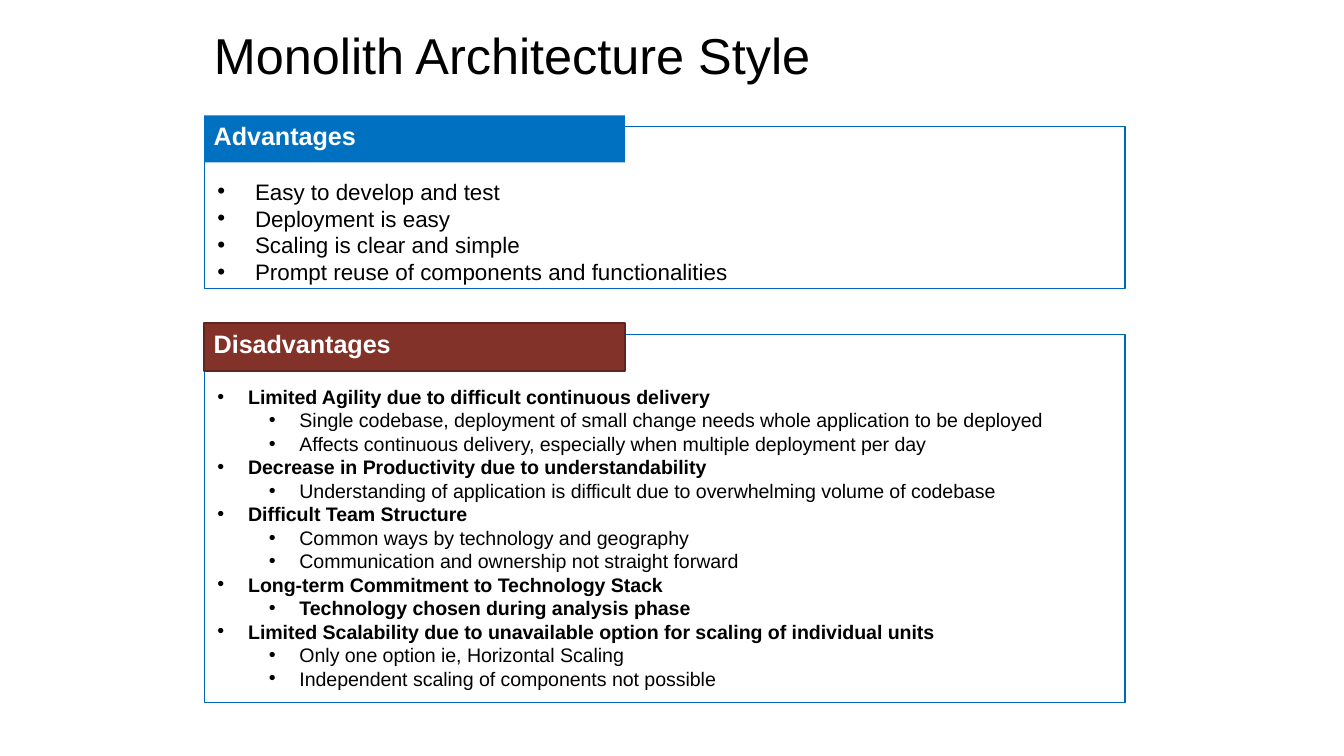
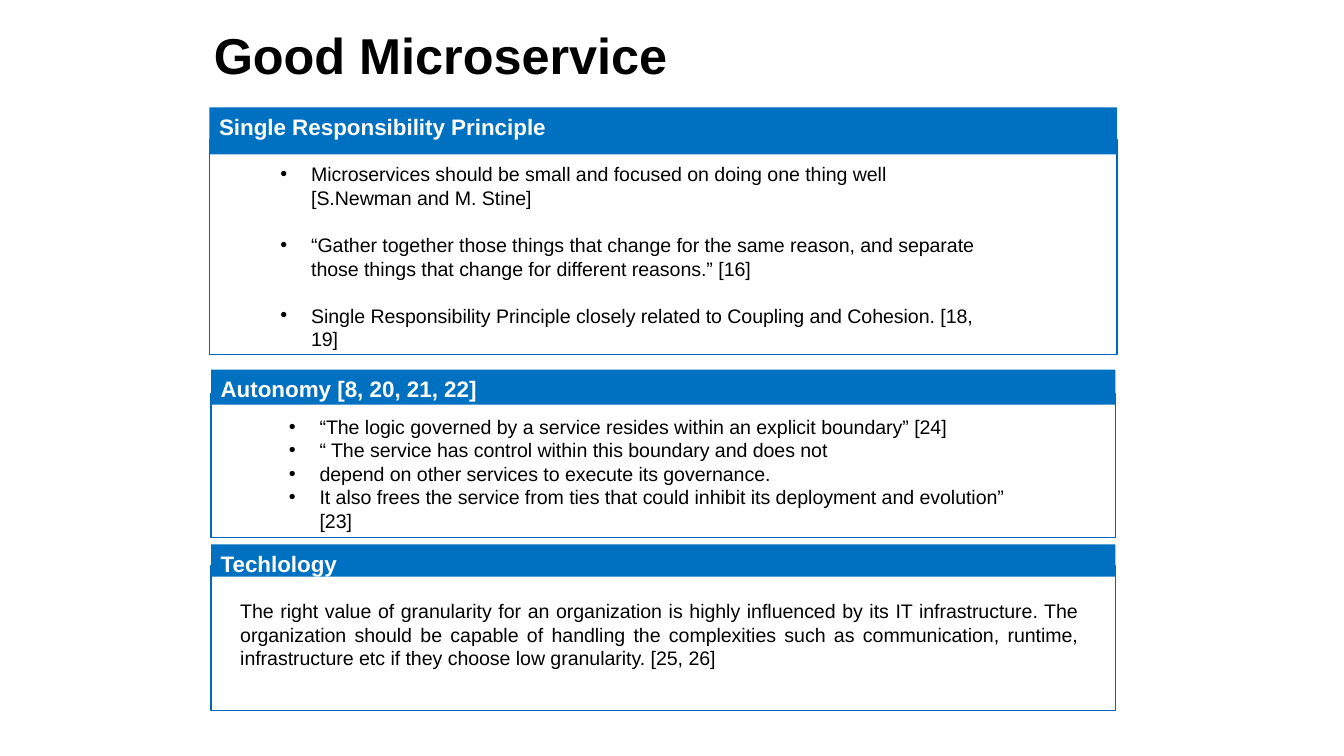
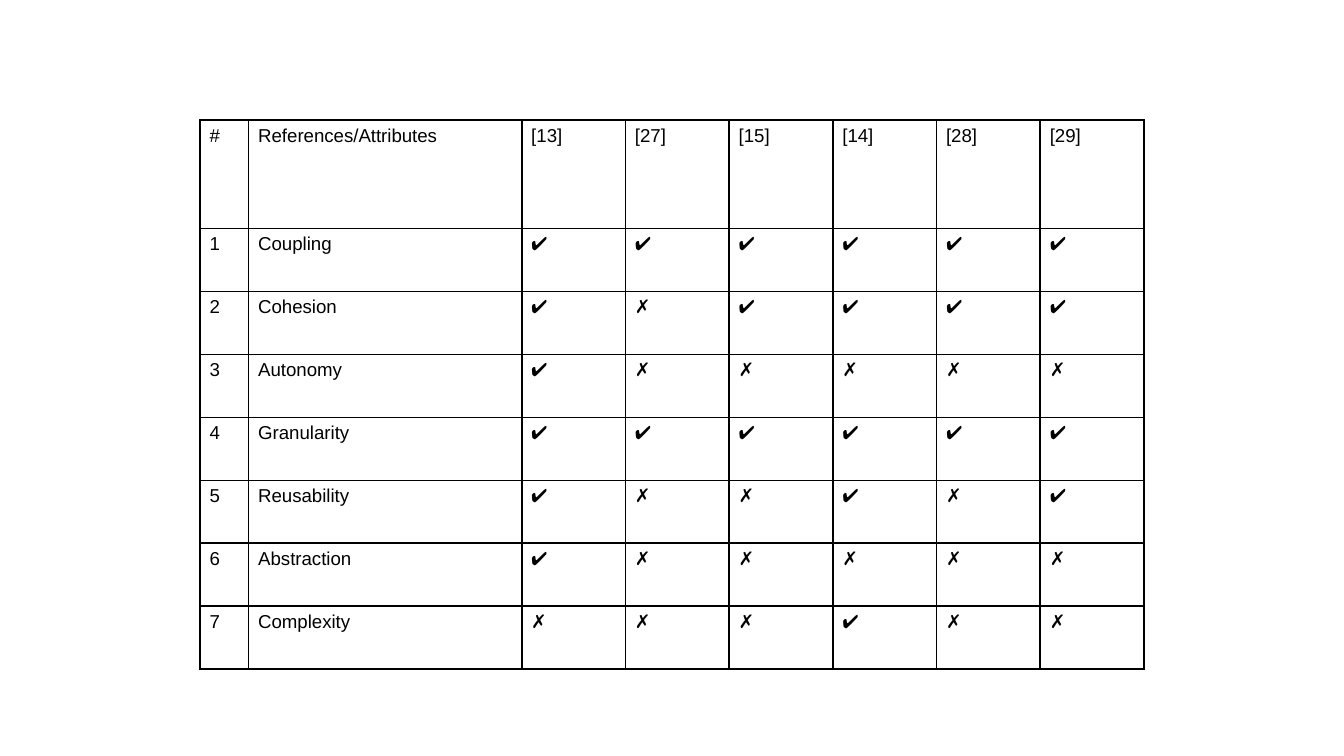
from lxml import etree
from pptx import Presentation
from pptx.dml.color import RGBColor
from pptx.enum.shapes import MSO_SHAPE
from pptx.enum.text import MSO_ANCHOR, MSO_AUTO_SIZE, PP_ALIGN
from pptx.oxml.ns import qn
from pptx.util import Cm, Pt

RECTANGLE = MSO_SHAPE.RECTANGLE
TOP, BOTTOM = MSO_ANCHOR.TOP, MSO_ANCHOR.BOTTOM
LEFT, JUSTIFY = PP_ALIGN.LEFT, PP_ALIGN.JUSTIFY
NO_AUTOFIT = MSO_AUTO_SIZE.NONE

FONT = "Arial"
BLACK, WHITE = "000000", "FFFFFF"
BLUE, FRAME_BLUE = "0070C0", "0065BD"
BROWN, DARK_BROWN = "823228", "60251E"
TWO_CONTENT, COMPARISON, BLANK = 3, 4, 6
TIGHT_X, TIGHT_Y = 0.18, 0.1

ADVANTAGES = [
    (0, "Easy to develop and test", False),
    (0, "Deployment is easy", False),
    (0, "Scaling is clear and simple", False),
    (0, "Prompt reuse of components and functionalities", False),
]
DISADVANTAGES = [
    (0, "Limited Agility due to difficult continuous delivery", True),
    (1, "Single codebase, deployment of small change needs whole application to be deployed", False),
    (1, "Affects continuous delivery, especially when multiple deployment per day", False),
    (0, "Decrease in Productivity due to understandability", True),
    (1, "Understanding of application is difficult due to overwhelming volume of codebase", False),
    (0, "Difficult Team Structure", True),
    (1, "Common ways by technology and geography", False),
    (1, "Communication and ownership not straight forward", False),
    (0, "Long-term Commitment to Technology Stack", True),
    (1, "Technology chosen during analysis phase", True),
    (0, "Limited Scalability due to unavailable option for scaling of individual units", True),
    (1, "Only one option ie, Horizontal Scaling", False),
    (1, "Independent scaling of components not possible", False),
]
RESPONSIBILITY = [
    (0, "Microservices should be small and focused on doing one thing well [S.Newman and M. Stine]", False),
    (0, "“Gather together those things that change for the same reason, and separate those things that change for different reasons.” [16]", False),
    (0, "Single Responsibility Principle closely related to Coupling and Cohesion. [18, 19]", False),
]
AUTONOMY = [
    (0, "“The logic governed by a service resides within an explicit boundary” [24]", False),
    (0, "“ The service has control within this boundary and does not", False),
    (0, "depend on other services to execute its governance.", False),
    (0, "It also frees the service from ties that could inhibit its deployment and evolution” [23]", False),
]
TECHNOLOGY = (
    "The right value of granularity for an organization is highly influenced by its IT "
    "infrastructure. The organization should be capable of handling the complexities such as "
    "communication, runtime, infrastructure etc if they choose low granularity. [25, 26]"
)
REFERENCES = ["[13]", "[27]", "[15]", "[14]", "[28]", "[29]"]
ATTRIBUTES = [
    ("Coupling", "✔✔✔✔✔✔"),
    ("Cohesion", "✔✗✔✔✔✔"),
    ("Autonomy", "✔✗✗✗✗✗"),
    ("Granularity", "✔✔✔✔✔✔"),
    ("Reusability", "✔✗✗✔✗✔"),
    ("Abstraction", "✔✗✗✗✗✗"),
    ("Complexity", "✗✗✗✔✗✗"),
]


def rgb(code):
    return RGBColor.from_string(code)


def set_font(paragraph, size, color=BLACK, bold=False):
    font = paragraph.font
    font.name, font.size, font.bold = FONT, Pt(size), bold
    font.color.rgb = rgb(color)


def set_frame(frame, anchor, inset_x, inset_y):
    frame.word_wrap = True
    frame.auto_size = NO_AUTOFIT
    frame.vertical_anchor = anchor
    frame.margin_left = frame.margin_right = Cm(inset_x)
    frame.margin_top = frame.margin_bottom = Cm(inset_y)


def place(part, box):
    part.left, part.top, part.width, part.height = (Cm(length) for length in box)


def add_title(slide, text, bold=False):
    title = slide.shapes.title
    place(title, (3.86, 0.84, 15.7, 0.76))
    set_frame(title.text_frame, BOTTOM, TIGHT_X, 0)
    heading = title.text_frame.paragraphs[0]
    heading.text, heading.alignment = text, LEFT
    set_font(heading, 27, bold=bold)


def add_rectangle(slide, box, fill=None, line=None, weight=0.75):
    rectangle = slide.shapes.add_shape(RECTANGLE, *(Cm(length) for length in box))
    rectangle.shadow.inherit = False
    if fill:
        rectangle.fill.solid()
        rectangle.fill.fore_color.rgb = rgb(fill)
    else:
        rectangle.fill.background()
    if line:
        rectangle.line.color.rgb = rgb(line)
        rectangle.line.width = Pt(weight)
    else:
        rectangle.line.fill.background()
    return rectangle


def add_panel(slide, box, heading, rise, band_size, size, fill=BLUE, edge=None):
    left, top, width, height = box
    add_rectangle(slide, box, line=FRAME_BLUE)
    band = add_rectangle(slide, (left, top - rise, *band_size), fill, edge, 1)
    set_frame(band.text_frame, TOP, TIGHT_X, TIGHT_Y)
    label = band.text_frame.paragraphs[0]
    label.text, label.alignment = heading, LEFT
    set_font(label, size, WHITE, True)


def set_indent(paragraph, margin, hanging):
    properties = paragraph._p.get_or_add_pPr()
    properties.set("marL", str(Cm(margin)))
    properties.set("indent", str(-Cm(hanging)))
    return properties


def fill_list(body, box, items, size, hanging=0.58, gap=0):
    place(body, box)
    frame = body.text_frame
    set_frame(frame, TOP, 0.25, 0.13)
    for index, (level, text, bold) in enumerate(items):
        item = frame.add_paragraph() if index else frame.paragraphs[0]
        item.text, item.level, item.alignment = text, level, LEFT
        item.space_before = Pt(gap if index else 0)
        properties = set_indent(item, hanging + 0.97 * level, hanging)
        etree.SubElement(properties, qn("a:buFont"), typeface=FONT)
        etree.SubElement(properties, qn("a:buChar"), char="•")
        set_font(item, size, bold=bold)


def fill_statement(body, box, text):
    place(body, box)
    set_frame(body.text_frame, TOP, 0.25, 0.13)
    statement = body.text_frame.paragraphs[0]
    statement.text, statement.alignment = text, JUSTIFY
    statement.space_before = Pt(0)
    etree.SubElement(set_indent(statement, 0, 0), qn("a:buNone"))
    set_font(statement, 10.5)


def build_monolith(prs):
    slide = prs.slides.add_slide(prs.slide_layouts[TWO_CONTENT])
    add_title(slide, "Monolith Architecture Style")
    left, width = 3.86, 17.4
    add_panel(slide, (left, 2.39, width, 3.07), "Advantages", 0.21, (7.95, 0.89), 13.5)
    add_panel(slide, (left, 6.32, width, 6.96), "Disadvantages", 0.22, (7.95, 0.91), 13.5,
              BROWN, DARK_BROWN)
    advantages, disadvantages = list(slide.placeholders)[1:]
    fill_list(advantages, (left, 3.23, 10.4, 2.95), ADVANTAGES, 12, hanging=0.71)
    fill_list(disadvantages, (left, 7.14, 19.15, 6.73), DISADVANTAGES, 10.5)


def build_microservice(prs):
    slide = prs.slides.add_slide(prs.slide_layouts[COMPARISON])
    add_title(slide, "Good Microservice", bold=True)
    panels = [
        ((3.96, 2.64, 17.15, 4.06), "Single Responsibility Principle", 0.61, 0.89),
        ((3.99, 7.44, 17.09, 2.72), "Autonomy [8, 20, 21, 22]", 0.45, 0.66),
        ((3.99, 10.69, 17.09, 2.74), "Techlology", 0.4, 0.61),
    ]
    for box, heading, rise, band_height in panels:
        add_panel(slide, box, heading, rise, (box[2], band_height), 12)
    responsibility, autonomy, technology, unused = list(slide.placeholders)[1:]
    fill_list(responsibility, (5.05, 2.94, 13.64, 4.42), RESPONSIBILITY, 10.5, gap=12.6)
    fill_list(autonomy, (5.21, 7.71, 14.25, 2.5), AUTONOMY, 10.5)
    fill_statement(technology, (4.29, 11.2, 16.36, 1.6), TECHNOLOGY)
    unused.element.getparent().remove(unused.element)


def set_borders(cell):
    properties = cell._tc.get_or_add_tcPr()
    for side in ("lnL", "lnR", "lnT", "lnB"):
        line = etree.SubElement(properties, qn(f"a:{side}"), w=str(Pt(1)))
        color = etree.SubElement(line, qn("a:solidFill"))
        etree.SubElement(color, qn("a:srgbClr"), val=BLACK)


def fill_cell(cell, text):
    set_borders(cell)
    cell.fill.background()
    cell.margin_left = cell.margin_right = Cm(TIGHT_X)
    cell.margin_top = cell.margin_bottom = Cm(TIGHT_Y)
    cell.text = text
    set_font(cell.text_frame.paragraphs[0], 10)


def build_comparison(prs):
    slide = prs.slides.add_slide(prs.slide_layouts[BLANK])
    rows = [["#", "References/Attributes", *REFERENCES]]
    rows += [[str(number), name, *marks] for number, (name, marks) in enumerate(ATTRIBUTES, 1)]
    widths = [0.92, 5.16] + [1.96] * len(REFERENCES)
    heights = [2.05] + [1.19] * len(ATTRIBUTES)
    comparison = slide.shapes.add_table(
        len(rows), len(widths), Cm(3.78), Cm(2.27), Cm(sum(widths)), Cm(sum(heights))).table
    comparison.first_row = comparison.horz_banding = False
    for column, width in zip(comparison.columns, widths):
        column.width = Cm(width)
    for row, height, texts in zip(comparison.rows, heights, rows):
        row.height = Cm(height)
        for cell, text in zip(row.cells, texts):
            fill_cell(cell, text)


def main():
    prs = Presentation()
    prs.slide_width, prs.slide_height = Cm(25.4), Cm(14.29)
    build_monolith(prs)
    build_microservice(prs)
    build_comparison(prs)
    prs.save("out.pptx")


if __name__ == "__main__":
    main()
